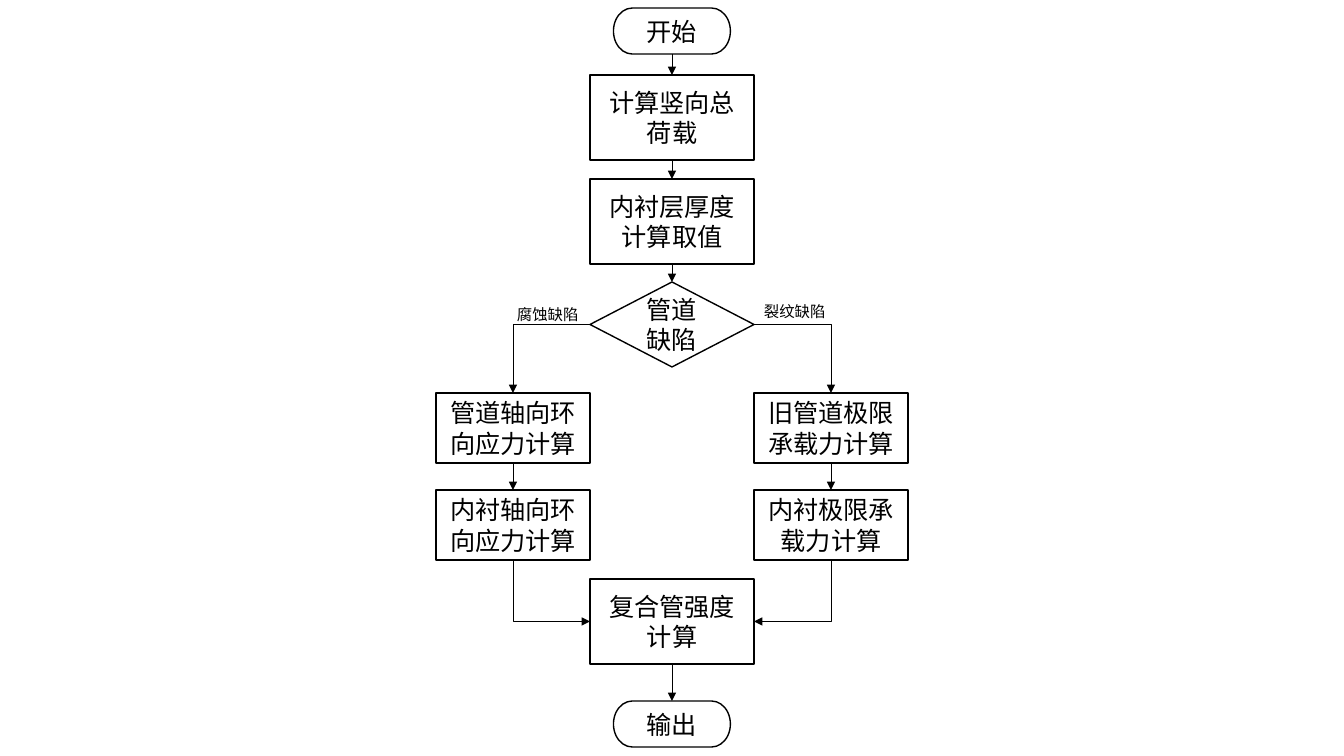
from lxml import etree
from pptx import Presentation
from pptx import util as u
from pptx.dml.color import RGBColor
from pptx.enum import shapes, text
from pptx.oxml.ns import qn

PX = 914400 / 100.8
HEX = {"ink": "000000", "fill": "FFFFFF"}
KIND = shapes.MSO_SHAPE
LINK = shapes.MSO_CONNECTOR
TOP, LEFT, BOTTOM, RIGHT = range(4)


def px(n):
    return u.Emu(round(n * PX))


class Chart:
    font = "Calibri"

    def __init__(self, slide):
        self.slide = slide

    def color(self, name):
        return RGBColor.from_string(HEX[name])

    def letter(self, frame, words, size, align):
        frame.text = words
        frame.word_wrap = True
        para = frame.paragraphs[0]
        para.alignment = align
        font = para.runs[0].font
        font.name, font.size = self.font, u.Pt(size)
        font.color.rgb = self.color("ink")

    def node(self, kind, words, mid, top, wide, high):
        box = self.slide.shapes.add_shape(
            kind, px(mid - wide / 2), px(top), px(wide), px(high))
        box.shadow.inherit = False
        box.fill.solid()
        box.fill.fore_color.rgb = self.color("fill")
        box.line.color.rgb = self.color("ink")
        box.line.width = u.Pt(1)
        box.text_frame.vertical_anchor = text.MSO_ANCHOR.MIDDLE
        self.letter(box.text_frame, words, 18, text.PP_ALIGN.CENTER)
        return box

    def end(self, words, top):
        return self.node(KIND.FLOWCHART_TERMINATOR, words, 672, top, 117, 46)

    def step(self, words, top, kind=KIND.FLOWCHART_PROCESS):
        return self.node(kind, words, 672, top, 164, 85)

    def task(self, words, mid, top):
        return self.node(KIND.RECTANGLE, words, mid, top, 154, 70)

    def label(self, words, left, top):
        box = self.slide.shapes.add_textbox(px(left), px(top), px(90), px(29))
        self.letter(box.text_frame, words, 11, text.PP_ALIGN.LEFT)

    def arrow(self, start, stop, out=BOTTOM, into=TOP, kind=LINK.STRAIGHT):
        link = self.slide.shapes.add_connector(kind, 0, 0, 0, 0)
        link.begin_connect(start, out)
        link.end_connect(stop, into)
        link.line.color.rgb = self.color("ink")
        link.line.width = u.Pt(0.5)
        props = link._element.spPr
        tail = etree.SubElement(props.find(qn("a:ln")), qn("a:tailEnd"))
        tail.set("type", "triangle")
        etree.SubElement(props, qn("a:effectLst"))
        return link

    def bend(self, start, stop, out, into):
        link = self.arrow(start, stop, out, into, LINK.ELBOW)
        props = link._element.spPr
        props.find(qn("a:prstGeom")).set("prst", "bentConnector2")
        if out == BOTTOM:
            self.turn(link, props.find(qn("a:xfrm")), into == LEFT)

    def turn(self, link, form, flip):
        wide, high = link.width, link.height
        shift = (wide - high) // 2
        link.left, link.top = link.left + shift, link.top - shift
        link.width, link.height = high, wide
        form.set("rot", str((270 if flip else 90) * 60000))
        form.set("flipH", "1" if flip else "0")
        form.set("flipV", "0")


def main():
    deck = Presentation()
    deck.slide_width, deck.slide_height = px(1344), px(756)
    flow = Chart(deck.slides.add_slide(deck.slide_layouts[6]))

    begin = flow.end("开始", 8)
    load = flow.step("计算竖向总荷载", 75)
    liner = flow.step("内衬层厚度计算取值", 179)
    defect = flow.step("管道缺陷", 282, KIND.FLOWCHART_DECISION)
    merge = flow.step("复合管强度计算", 579)
    result = flow.end("输出", 701)
    trunk = [begin, load, liner, defect]
    for start, stop in [*zip(trunk, trunk[1:]), (merge, result)]:
        flow.arrow(start, stop)

    branches = [
        (513, LEFT, "管道轴向环向应力计算", "内衬轴向环向应力计算"),
        (831, RIGHT, "旧管道极限承载力计算", "内衬极限承载力计算"),
    ]
    for mid, side, first, second in branches:
        pipe = flow.task(first, mid, 393)
        lining = flow.task(second, mid, 490)
        flow.bend(defect, pipe, side, TOP)
        flow.arrow(pipe, lining)
        flow.bend(lining, merge, BOTTOM, side)

    flow.label("腐蚀缺陷", 507, 300)
    flow.label("裂纹缺陷", 754, 297)
    deck.save("out.pptx")


if __name__ == "__main__":
    main()
